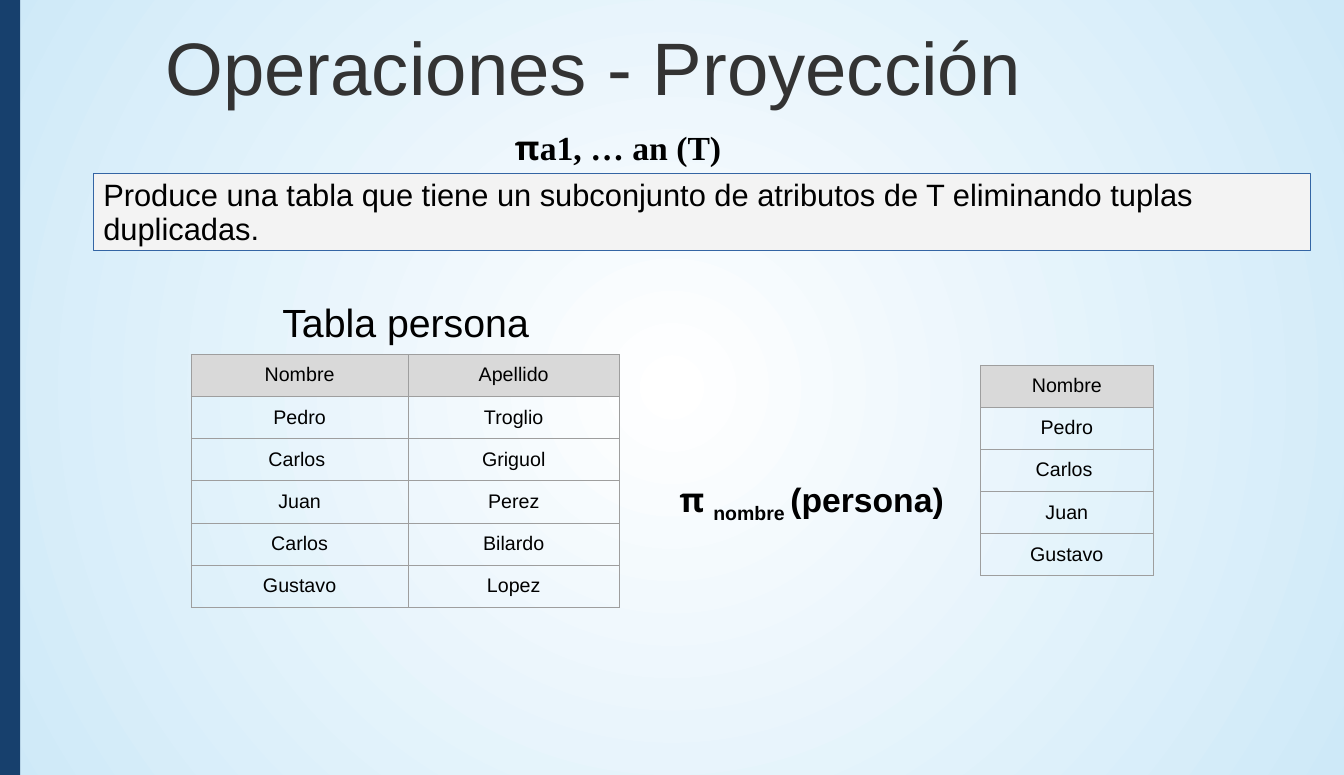
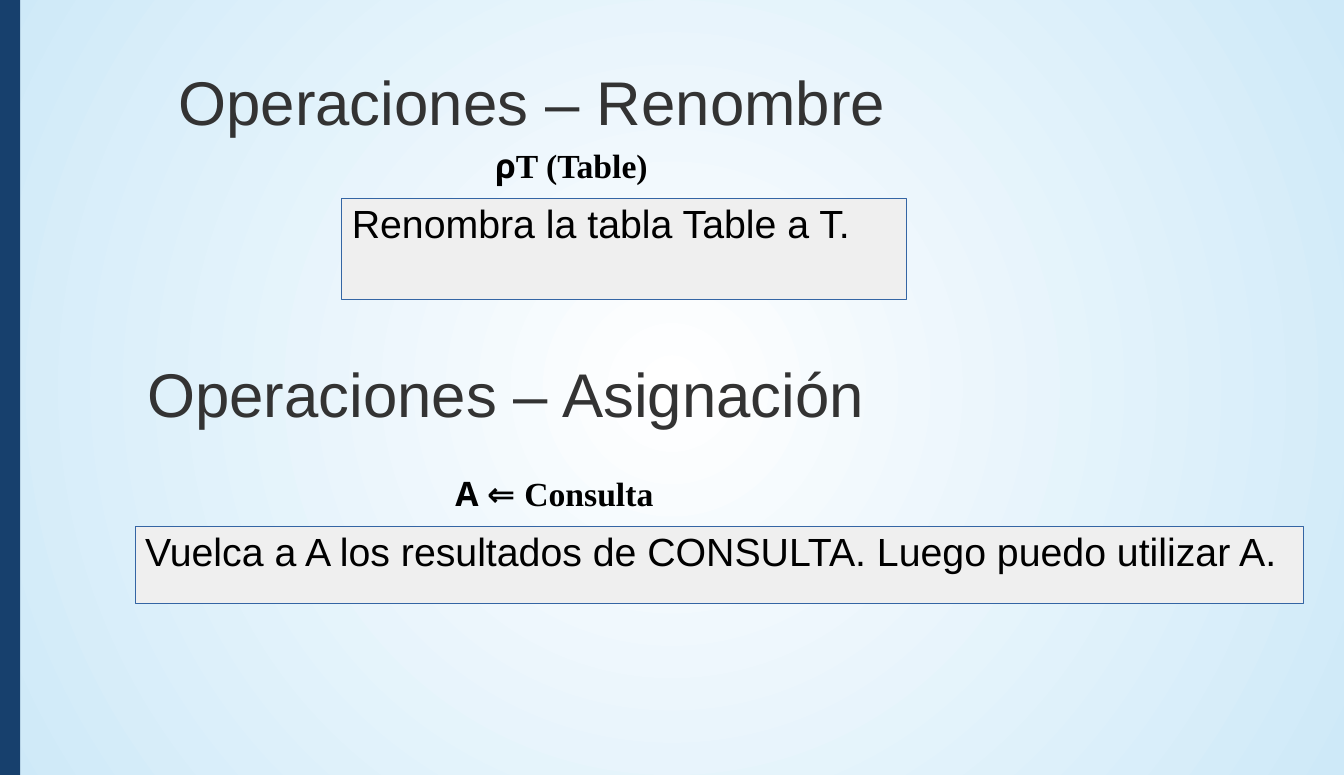
from pptx import Presentation
from pptx.dml.color import RGBColor
from pptx.enum.shapes import MSO_SHAPE
from pptx.enum.text import MSO_ANCHOR, MSO_AUTO_SIZE, PP_ALIGN
from pptx.oxml.ns import qn
from pptx.oxml.xmlchemy import OxmlElement
from pptx.util import Cm, Pt

WIDTH, HEIGHT = 33.8, 19.5
TITLE_ONLY = 5
NAVY, BLUE, SKY, WHITE = "17406D", "3465A4", "CEE9F8", "FFFFFF"
BLACK, CHARCOAL = "000000", "333333"
PALE, LIGHT, HEADER, BORDER = "F3F3F3", "EFEFEF", "D9D9D9", "9E9E9E"
SANS, SYMBOL, SERIF = "Arial", "Noto Sans", "Times New Roman"


def color(value):
    return RGBColor.from_string(value)


def add_span(para, text, size=24, font=SANS, ink=BLACK, bold=False, baseline=0):
    span = para.add_run()
    span.text = text
    span.font.size = Pt(size)
    span.font.name = font
    span.font.bold = bold
    span.font.color.rgb = color(ink)
    if baseline:
        span._r.get_or_add_rPr().set("baseline", str(baseline * 1000))


def set_frame(frame, margins, align=PP_ALIGN.LEFT, spacing=1.0):
    """Lay out a text frame and return its first paragraph."""
    frame.word_wrap = True
    frame.auto_size = MSO_AUTO_SIZE.NONE
    frame.vertical_anchor = MSO_ANCHOR.TOP
    side, edge = margins
    frame.margin_left = frame.margin_right = Cm(side)
    frame.margin_top = frame.margin_bottom = Cm(edge)
    para = frame.paragraphs[0]
    para.alignment = align
    para.line_spacing = spacing
    return para


def add_borders(cell):
    properties = cell._tc.get_or_add_tcPr()
    for side in ("a:lnL", "a:lnR", "a:lnT", "a:lnB"):
        line = OxmlElement(side)
        line.set("w", str(Pt(0.75)))
        fill = OxmlElement("a:solidFill")
        ink = OxmlElement("a:srgbClr")
        ink.set("val", BORDER)
        fill.append(ink)
        line.append(fill)
        properties.append(line)


class SlideDeck:
    def __init__(self):
        self.deck = Presentation()
        self.deck.slide_width, self.deck.slide_height = Cm(WIDTH), Cm(HEIGHT)
        self.page = None
        self.set_background()

    def set_background(self):
        """Put a circular gradient on the slide master."""
        master = self.deck.slide_master
        fill = master.background.fill
        fill.gradient()
        for stop, ink in zip(fill.gradient_stops, (WHITE, SKY)):
            stop.color.rgb = color(ink)
        gradient = master._element.find(".//" + qn("a:gradFill"))
        circle = OxmlElement("a:path")
        circle.set("path", "circle")
        center = OxmlElement("a:fillToRect")
        for side in "ltrb":
            center.set(side, "50000")
        circle.append(center)
        gradient.replace(gradient.find(qn("a:lin")), circle)

    def add_page(self, title, left, top, size):
        layout = self.deck.slide_layouts[TITLE_ONLY]
        self.page = self.deck.slides.add_slide(layout)
        self.add_panel(0, 0, 0.51, HEIGHT, NAVY)
        self.format_title(self.page.shapes.title, title, left, top, size)

    def format_title(self, box, text, left, top, size):
        box.left, box.top = Cm(left), Cm(top)
        box.width, box.height = Cm(29), Cm(2.82)
        para = set_frame(box.text_frame, (0.3, 0.15))
        add_span(para, text, size=size, ink=CHARCOAL)

    def add_box(self, left, top, width, height):
        return self.page.shapes.add_textbox(Cm(left), Cm(top), Cm(width), Cm(height))

    def add_heading(self, text, left, top, size):
        self.format_title(self.add_box(left, top, 29, 2.82), text, left, top, size)

    def add_text(self, spans, left, top, width, height, **layout):
        """Add a text box from (text, format) pairs."""
        box = self.add_box(left, top, width, height)
        para = set_frame(box.text_frame, (0.25, 0.13), **layout)
        for text, style in spans:
            add_span(para, text, **style)

    def add_formula(self, symbol, rest, left, top, width, height):
        spans = [(symbol, dict(font=SYMBOL, bold=True)),
                 (rest, dict(font=SERIF, bold=True))]
        self.add_text(spans, left, top, width, height, spacing=1.19)

    def add_panel(self, left, top, width, height, fill):
        panel = self.page.shapes.add_shape(
            MSO_SHAPE.RECTANGLE, Cm(left), Cm(top), Cm(width), Cm(height))
        panel.shadow.inherit = False
        panel.fill.solid()
        panel.fill.fore_color.rgb = color(fill)
        panel.line.fill.background()
        return panel

    def add_definition(self, text, left, top, width, height, fill=LIGHT, size=28):
        panel = self.add_panel(left, top, width, height, fill)
        panel.line.color.rgb = color(BLUE)
        panel.line.width = Pt(0.75)
        para = set_frame(panel.text_frame, (0.25, 0.13), spacing=0.93)
        add_span(para, text, size=size)

    def add_table(self, rows, left, top, widths, row_height=1.06):
        frame = self.page.shapes.add_table(
            len(rows), len(widths), Cm(left), Cm(top),
            Cm(sum(widths)), Cm(row_height * len(rows)))
        table = frame.table
        table.first_row = table.horz_banding = False
        for column, width in zip(table.columns, widths):
            column.width = Cm(width)
        for row_index, row in enumerate(rows):
            table.rows[row_index].height = Cm(row_height)
            for column_index, text in enumerate(row):
                cell = table.cell(row_index, column_index)
                cell.margin_left = cell.margin_right = Cm(0.24)
                cell.margin_top = cell.margin_bottom = Cm(0.24)
                add_borders(cell)
                if row_index == 0:
                    cell.fill.solid()
                    cell.fill.fore_color.rgb = color(HEADER)
                else:
                    cell.fill.background()
                para = cell.text_frame.paragraphs[0]
                para.alignment = PP_ALIGN.CENTER
                add_span(para, text, size=14)


def build_projection(slides):
    slides.add_page("Operaciones - Proyección", 3.86, 0.38, 53)
    slides.add_formula("π", "a1, … an (T)", 12.7, 2.87, 7, 1.27)
    slides.add_definition(
        "Produce una tabla que tiene un subconjunto de atributos de T "
        "eliminando tuplas duplicadas.",
        2.35, 4.37, 30.61, 1.93, fill=PALE, size=22)

    # Source table
    slides.add_text([("Tabla persona", dict(size=28))], 6.7, 7.48, 7, 1.42,
                    align=PP_ALIGN.CENTER, spacing=0.93)
    people = [("Nombre", "Apellido"), ("Pedro", "Troglio"), ("Carlos ", "Griguol"),
              ("Juan", "Perez"), ("Carlos", "Bilardo"), ("Gustavo", "Lopez")]
    slides.add_table(people, 4.81, 8.92, (5.45, 5.32))

    # Projection and its result
    slides.add_text(
        [("π ", dict(font=SYMBOL, bold=True)),
         ("nombre ", dict(bold=True, baseline=-25)),
         ("(persona)", dict(bold=True))],
        15.59, 11.7, 9.65, 1.47, align=PP_ALIGN.CENTER, spacing=1.19)
    names = [("Nombre",), ("Pedro",), ("Carlos ",), ("Juan",), ("Gustavo",)]
    slides.add_table(names, 24.66, 9.19, (4.34,))


def build_rename_and_assignment(slides):
    # Rename
    slides.add_page("Operaciones – Renombre", 4.19, 1.45, 44)
    slides.add_formula("ρ", "T (Table)", 12.2, 3.33, 6.6, 1.27)
    slides.add_definition("Renombra la tabla Table a T.", 8.6, 4.99, 14.2, 2.54)

    # Assignment
    slides.add_heading("Operaciones – Asignación", 3.4, 8.8, 44)
    slides.add_formula("Α ⇐ ", "Consulta", 11.2, 11.58, 9.6, 2.46)
    slides.add_definition(
        "Vuelca a A los resultados de CONSULTA. Luego puedo utilizar A.",
        3.4, 13.25, 29.39, 1.93)


def main():
    slides = SlideDeck()
    build_projection(slides)
    build_rename_and_assignment(slides)
    slides.deck.save("out.pptx")


if __name__ == "__main__":
    main()
